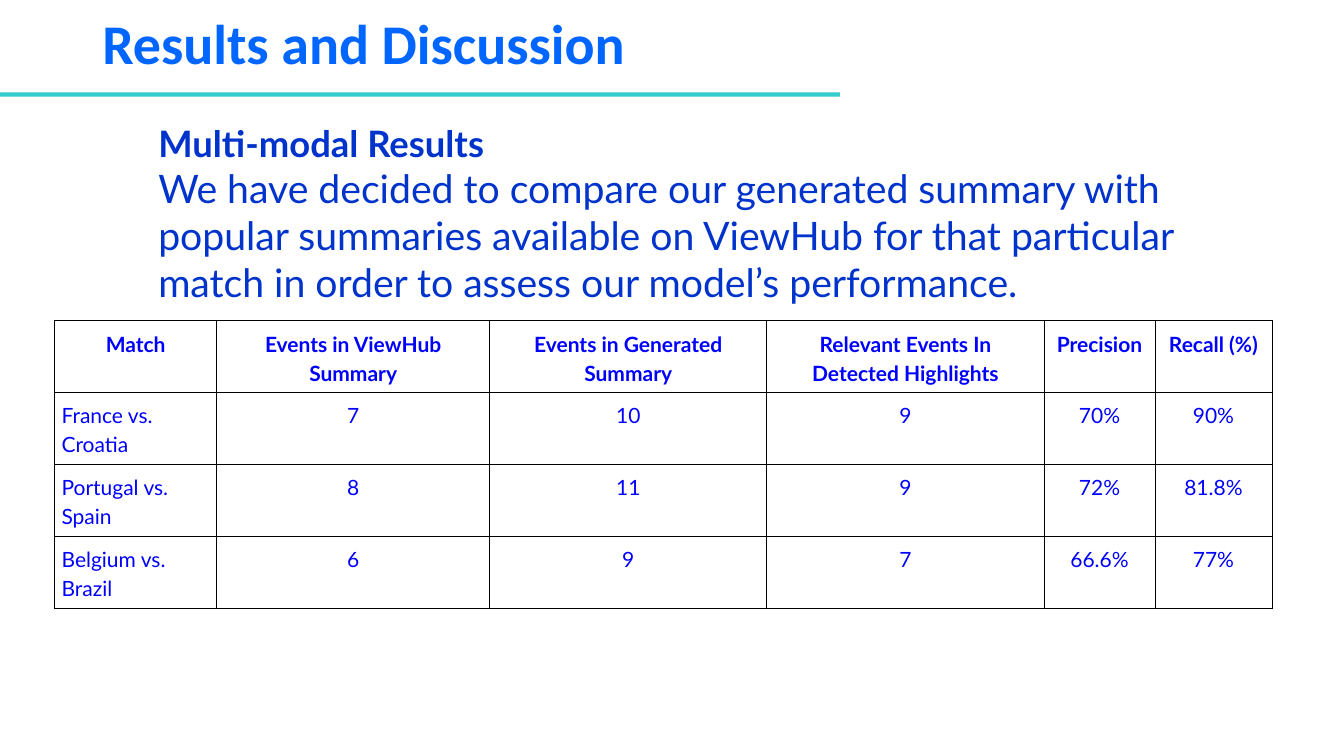
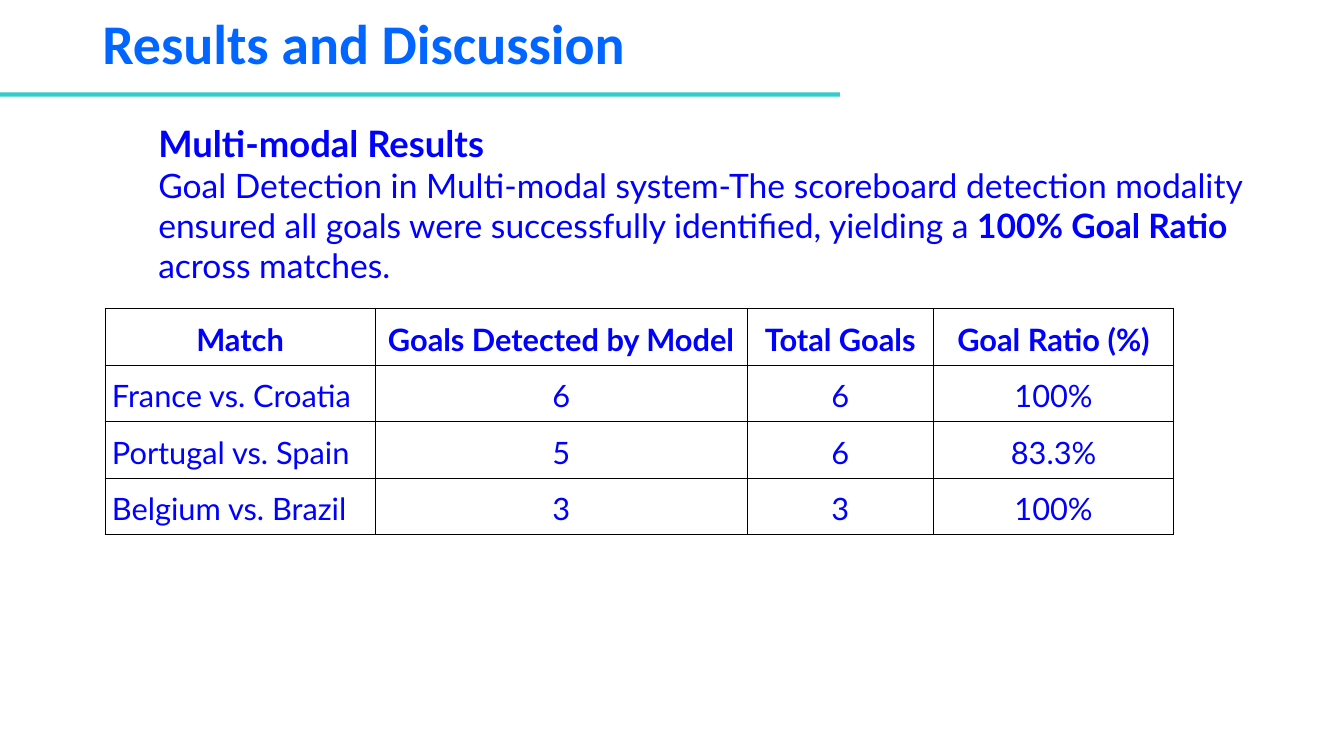
from lxml.etree import SubElement as Sub
from pptx import Presentation as Deck
from pptx.dml.color import RGBColor as Rgb
from pptx.enum.shapes import MSO_SHAPE as Shape
from pptx.enum.text import MSO_ANCHOR as Anchor, PP_ALIGN as Align
from pptx.oxml.ns import qn
from pptx.util import Pt

# Shared colours
TITLE, BAND, NAVY, BLUE, INK = "0066FF", "33CCCC", "0033CC", "0000FF", "000000"


def color(code):
    return Rgb.from_string(code)


class Page:
    """Holds the style and the current slide."""

    face = "Lato"
    pad = 5  # table cell margin

    def __init__(self):
        self.deck = Deck()
        self.deck.slide_width, self.deck.slide_height = Pt(960), Pt(540)

    def start(self, title):
        self.slide = self.deck.slides.add_slide(self.deck.slide_layouts[6])
        self.band(0, 66, 600, 3)
        frame = self.box(66, 0, 828, 66)
        frame.vertical_anchor = Anchor.MIDDLE
        para = frame.paragraphs[0]
        para.line_spacing = 0.9
        self.run(para, title, 40, TITLE, True, "Calibri")

    def band(self, *area):
        bar = self.slide.shapes.add_shape(Shape.RECTANGLE, *map(Pt, area))
        bar.shadow.inherit = False
        bar.fill.solid()
        bar.fill.fore_color.rgb = color(BAND)
        bar.line.fill.background()

    def box(self, *area):
        frame = self.slide.shapes.add_textbox(*map(Pt, area)).text_frame
        frame.word_wrap = True
        return frame

    def run(self, para, text, size, code, bold=False, face=None):
        font = self.font(para.add_run(), text)
        style = {"name": face or self.face, "size": Pt(size), "bold": bold}
        for name, value in style.items():
            setattr(font, name, value)
        font.color.rgb = color(code)

    def font(self, run, text):
        run.text = text
        return run.font

    def body(self, head, parts, size, code, high):
        """Bold heading, then a paragraph of (text, bold) parts."""
        frame = self.box(106, 82.8, 803, high)
        first = frame.paragraphs[0]
        first.alignment = Align.JUSTIFY
        self.run(first, head, 26, code, True)
        para = frame.add_paragraph()
        for text, bold in parts:
            self.run(para, text, size, code, bold)

    def table(self, left, top, cols, high, size, rows):
        area = left, top, sum(cols), high * len(rows)
        grid = self.slide.shapes.add_table(
            len(rows), len(cols), *map(Pt, area)).table
        grid.horz_banding = False
        for col, wide in zip(grid.columns, cols):
            col.width = Pt(wide)
        for i, row in enumerate(rows):
            grid.rows[i].height = Pt(high)
            for j, text in enumerate(row):
                self.cell(grid.cell(i, j), text, size, i == 0, i > 0 and j == 0)

    def cell(self, cell, text, size, bold, left):
        for side in ("left", "right", "top", "bottom"):
            setattr(cell, f"margin_{side}", Pt(self.pad))
        para = cell.text_frame.paragraphs[0]
        para.alignment = Align.LEFT if left else Align.CENTER
        para.line_spacing = 1.15
        self.run(para, text, size, BLUE, bold)
        # Borders come before the fill in the cell's XML
        props = cell._tc.get_or_add_tcPr()
        for tag in ("a:lnL", "a:lnR", "a:lnT", "a:lnB"):
            line = Sub(props, qn(tag), w=str(Pt(0.75)))
            Sub(Sub(line, qn("a:solidFill")), qn("a:srgbClr"), val=INK)
        cell.fill.background()


def main():
    page = Page()
    title, head = "Results and Discussion", "Multi-modal Results"
    games = ["France vs. Croatia", "Portugal vs. Spain", "Belgium vs. Brazil"]

    def rows(names, values):
        return [["Match"] + names] + [[g] + v for g, v in zip(games, values)]

    # Comparison with popular summaries
    page.start(title)
    page.body(head, [(
        "We have decided to compare our generated summary with popular "
        "summaries available on ViewHub for that particular match in order "
        "to assess our model’s performance.", False)], 28, NAVY, 235)
    page.table(39, 229, [115.8, 195, 198, 198, 79.2, 83.6], 51.4, 15, rows(
        ["Events in ViewHub Summary", "Events in Generated Summary",
         "Relevant Events In Detected Highlights", "Precision", "Recall (%)"],
        [["7", "10", "9", "70%", "90%"],
         ["8", "11", "9", "72%", "81.8%"],
         ["6", "9", "7", "66.6%", "77%"]]))

    # Goal detection
    page.start(title)
    page.body(head, [
        ("Goal Detection in Multi-modal system-The scoreboard detection "
         "modality ensured all goals were successfully identified, "
         "yielding a ", False),
        ("100% Goal Ratio", True),
        (" across matches.", False)], 24, BLUE, 220)
    page.table(75, 220.3, [193, 265.7, 133, 171.8], 40.4, 22, rows(
        ["Goals Detected by Model", "Total Goals", "Goal Ratio (%)"],
        [["6", "6", "100%"], ["5", "6", "83.3%"], ["3", "3", "100%"]]))

    page.deck.save("out.pptx")


if __name__ == "__main__":
    main()
